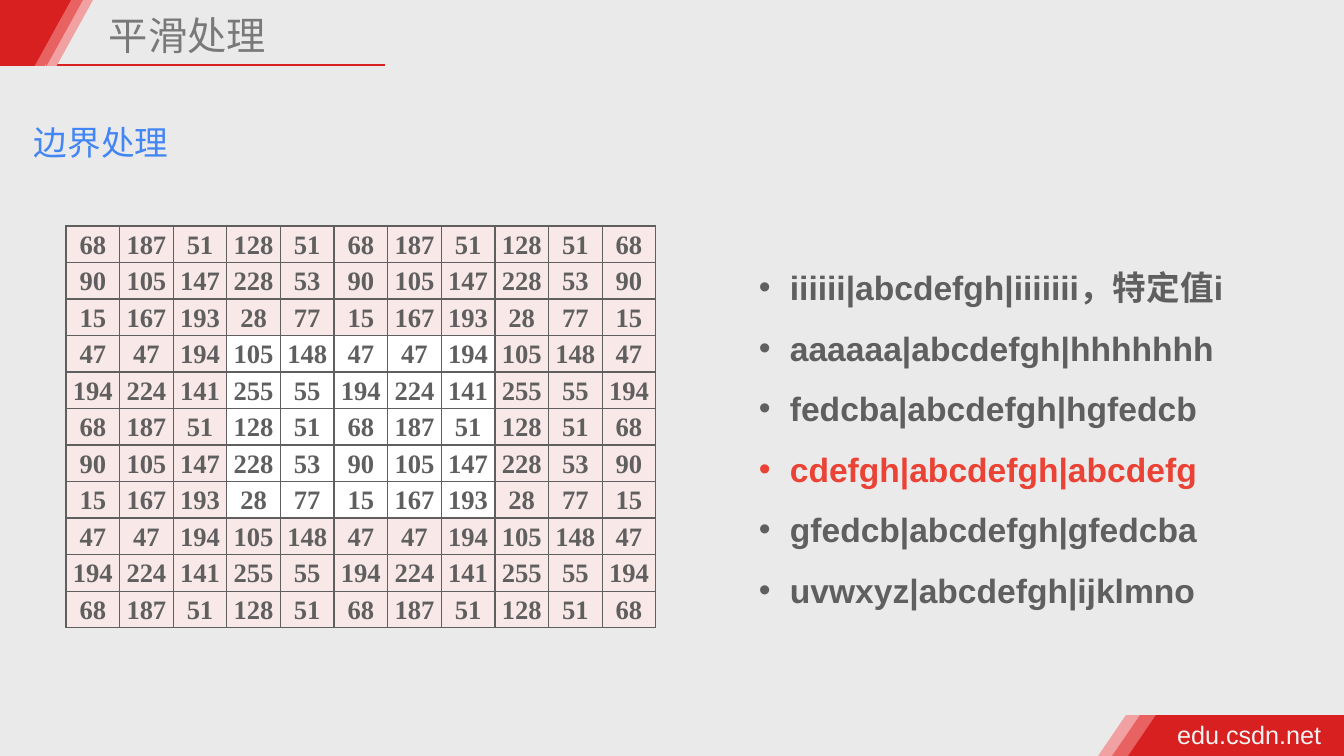
"""Builds the slide on border handling in image smoothing."""
from lxml.etree import SubElement
from pptx import Presentation
from pptx.dml.color import RGBColor
from pptx.enum.shapes import MSO_CONNECTOR, MSO_SHAPE
from pptx.enum.text import MSO_ANCHOR, PP_ALIGN
from pptx.oxml.ns import qn
from pptx.util import Pt

PX = 914400 / 100.8
COLORS = {
    "background": "EAEAEA", "red": "D82020", "mid red": "E86262",
    "light red": "F1A1A1", "footer": "F2F2F2", "title": "797979",
    "blue": "4285F4", "text": "5F5F5F", "highlight": "EA4335",
    "border pixel": "F8E8E7", "image pixel": "FFFFFF",
}
CJK = "Noto Sans CJK SC"


def px(*lengths):
    return [round(length * PX) for length in lengths]


def add_text(para, text, size, font, color, bold=False):
    span = para.add_run()
    span.text = text
    span.font.size = Pt(size)
    span.font.name = font
    span.font.bold = bold
    span.font.color.rgb = RGBColor.from_string(COLORS[color])
    SubElement(span.font._element, qn("a:ea"), typeface=CJK)


deck = Presentation()
deck.slide_width, deck.slide_height = px(1344, 756)
page = deck.slides.add_slide(deck.slide_layouts[6])
page.background.fill.solid()
page.background.fill.fore_color.rgb = RGBColor.from_string(COLORS["background"])

x1, y1, x2, y2 = px(49, 65, 385, 65)
rule = page.shapes.add_connector(MSO_CONNECTOR.STRAIGHT, x1, y1, x2, y2)
rule.line.color.rgb = RGBColor.from_string(COLORS["red"])
rule.line.width = Pt(1)
SubElement(rule._element.spPr, qn("a:effectLst"))

BLOCK, SLOPE = MSO_SHAPE.RECTANGLE, MSO_SHAPE.ISOSCELES_TRIANGLE
ribbons = [
    ("light red", 1126, 1098, 21, 20),
    ("mid red", 1140, 1112, 10, 10),
    ("red", 1156, 1128, -1, -2),
]
for color, foot_block, foot_slope, head_block, head_slope in ribbons:
    parts = [
        (BLOCK, foot_block, 715, 188, 41, 0),
        (SLOPE, foot_slope, 715, 56, 41, 0),
        (BLOCK, head_block, 0, 35, 66, 180),
        (SLOPE, head_slope, 0, 73, 66, 180),
    ]
    for kind, left, top, width, height, turn in parts:
        part = page.shapes.add_shape(kind, *px(left, top, width, height))
        part.shadow.inherit = False
        part.rotation = turn
        part.fill.solid()
        part.fill.fore_color.rgb = RGBColor.from_string(COLORS[color])
        part.line.fill.background()

labels = [
    ("edu.csdn.net", (1172, 714, 156, 40), 18, "Arial", "footer", 1.0, 5, False),
    ("平滑处理", (104, 12, 439, 53), 28, CJK, "title", 0.9, 5, True),
    ("边界处理", (24, 97, 277, 64), 24, CJK, "blue", 1.5, 10, True),
]
for text, place, size, font, color, spacing, inset, wrap in labels:
    box = page.shapes.add_textbox(*px(*place))
    frame = box.text_frame
    frame.word_wrap = wrap
    frame.margin_left, frame.margin_right = px(inset, inset)
    frame.margin_top, frame.margin_bottom = px(5, 5)
    para = frame.paragraphs[0]
    para.line_spacing = spacing
    add_text(para, text, size, font, color)

border_modes = [
    ("iiiiii|abcdefgh|iiiiiii，特定值i", "text"),
    ("aaaaaa|abcdefgh|hhhhhhh", "text"),
    ("fedcba|abcdefgh|hgfedcb", "text"),
    ("cdefgh|abcdefgh|abcdefg", "highlight"),
    ("gfedcb|abcdefgh|gfedcba", "text"),
    ("uvwxyz|abcdefgh|ijklmno", "text"),
]
box = page.shapes.add_textbox(*px(749, 242, 529, 369))
frame = box.text_frame
frame.word_wrap = True
indent = px(31)[0]
for index, (text, color) in enumerate(border_modes):
    para = frame.add_paragraph() if index else frame.paragraphs[0]
    props = para._p.get_or_add_pPr()
    props.set("marL", str(indent))
    props.set("indent", str(-indent))
    SubElement(props, qn("a:buFont"), typeface="Arial")
    SubElement(props, qn("a:buChar"), char="•")
    para.line_spacing = 1.5
    add_text(para, text, 24, "Arial", color, bold=True)

image = [
    [105, 148, 47, 47, 194],
    [255, 55, 194, 224, 141],
    [128, 51, 68, 187, 51],
    [228, 53, 90, 105, 147],
    [28, 77, 15, 167, 193],
]
SIDE, PAD = len(image), 3
COUNT = SIDE + 2 * PAD
grid = page.shapes.add_table(COUNT, COUNT, *px(66, 226, 590, 402)).table
grid.first_row = grid.horz_banding = False
for row in range(COUNT):
    for column in range(COUNT):
        cell = grid.cell(row, column)
        cell.margin_left, cell.margin_right, cell.margin_top, cell.margin_bottom = px(2, 2, 2, 0)
        cell.vertical_anchor = MSO_ANCHOR.MIDDLE
        para = cell.text_frame.paragraphs[0]
        para.alignment = PP_ALIGN.CENTER
        value = image[(row - PAD) % SIDE][(column - PAD) % SIDE]
        add_text(para, str(value), 19, "Times New Roman", "text", bold=True)
        for edge in ("a:lnL", "a:lnR", "a:lnT", "a:lnB"):
            line = SubElement(cell._tc.get_or_add_tcPr(), qn(edge), w=str(Pt(1)))
            paint = SubElement(line, qn("a:solidFill"))
            SubElement(paint, qn("a:srgbClr"), val=COLORS["text"])
        inside = all(PAD <= spot < PAD + SIDE for spot in (row, column))
        cell.fill.solid()
        cell.fill.fore_color.rgb = RGBColor.from_string(
            COLORS["image pixel" if inside else "border pixel"])

deck.save("out.pptx")
